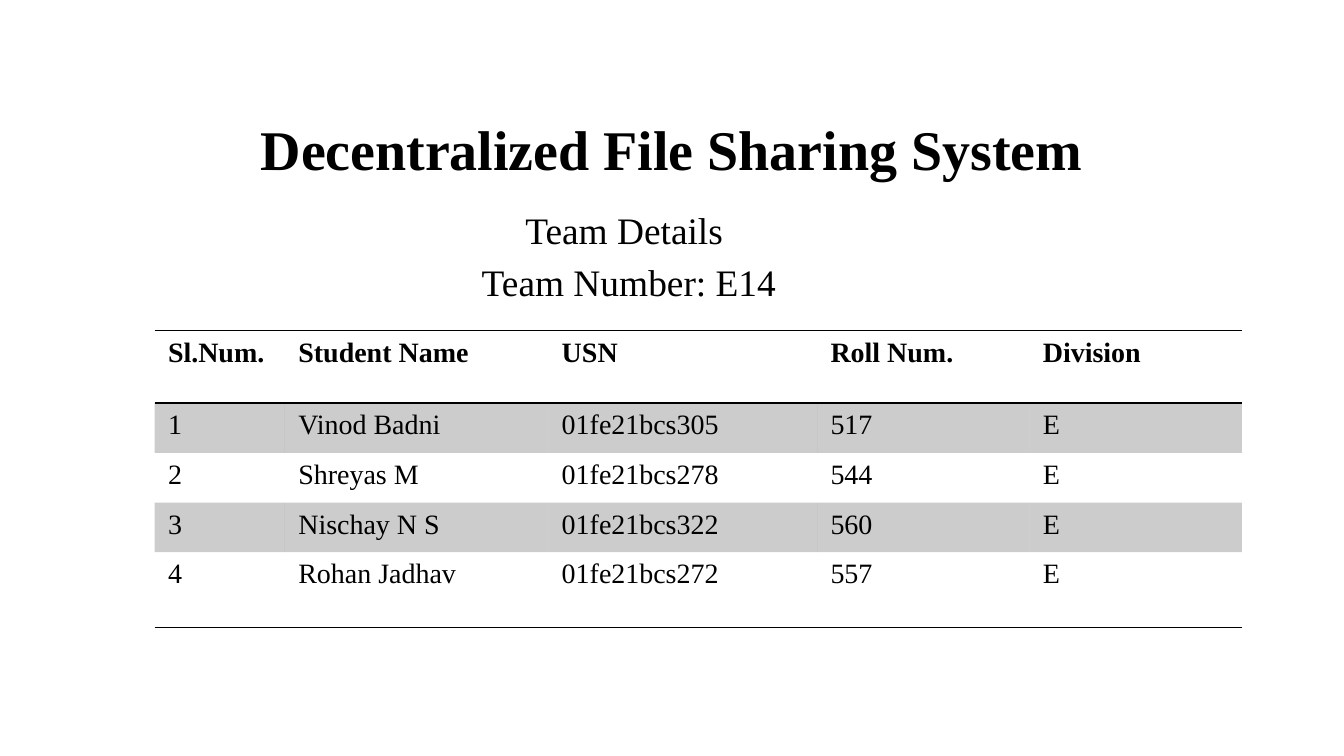
"""Build the team details slide of a file sharing project."""
import pptx
import pptx.dml.color
import pptx.enum.text
import pptx.oxml
import pptx.oxml.ns
import pptx.util
from pptx.util import Inches

BLACK = "000000"
CENTER = pptx.enum.text.PP_ALIGN.CENTER
LEFT = pptx.enum.text.PP_ALIGN.LEFT


def color(value):
    return pptx.dml.color.RGBColor.from_string(value)


def write(para, text, size=15, bold=False, align=LEFT, before=0):
    para.alignment = align
    para.space_before = pptx.util.Pt(before)
    span = para.add_run()
    span.text = text
    span.font.name = "Times New Roman"
    span.font.size = pptx.util.Pt(size)
    span.font.bold = bold
    span.font.color.rgb = color(BLACK)


deck = pptx.Presentation()
deck.slide_width = Inches(10)
deck.slide_height = deck.slide_width * 9 // 16
slide = deck.slides.add_slide(deck.slide_layouts[5])

title = slide.shapes.title
title.left, title.top = Inches(0.75), Inches(0.48)
title.width, title.height = Inches(8.5), Inches(1.25)
title.text_frame.vertical_anchor = pptx.enum.text.MSO_ANCHOR.MIDDLE
write(title.text_frame.paragraphs[0], "Decentralized File Sharing System",
      size=30, bold=True, align=CENTER)

subtitle = slide.shapes.add_textbox(Inches(1.18), Inches(1.49), Inches(7), Inches(1.44))
subtitle.text_frame.word_wrap = True
write(subtitle.text_frame.paragraphs[0], "Team Details ", size=20, align=CENTER, before=4)
write(subtitle.text_frame.add_paragraph(), "Team Number: E14", size=20, align=CENTER, before=4)

rows = [
    ("Sl.Num.", "Student Name", "USN", "Roll Num.", "Division"),
    ("1", "Vinod Badni", "01fe21bcs305", "517", "E"),
    ("2", "Shreyas M", "01fe21bcs278", "544", "E"),
    ("3", "Nischay N S", "01fe21bcs322", "560", "E"),
    ("4", "Rohan Jadhav", "01fe21bcs272", "557", "E"),
]
column_widths = [0.97, 1.96, 2, 1.58, 1.58]
row_heights = [0.54, 0.37, 0.37, 0.37, 0.56]
borders = {0: ["lnB", "lnT"], len(rows) - 1: ["lnB"]}

frame = slide.shapes.add_table(len(rows), len(column_widths),
                               Inches(1.15), Inches(2.46), Inches(8.09), Inches(2.21))
table = frame.table
table.horz_banding = False
style = table._tbl.tblPr.find(pptx.oxml.ns.qn("a:tableStyleId"))
style.text = "{2D5ABB26-0587-4C30-8999-92F81FD0307C}"
for column, width in zip(table.columns, column_widths):
    column.width = Inches(width)

for row_index, values in enumerate(rows):
    table.rows[row_index].height = Inches(row_heights[row_index])
    for column_index, value in enumerate(values):
        cell = table.cell(row_index, column_index)
        write(cell.text_frame.paragraphs[0], value, bold=row_index == 0)
        properties = cell._tc.get_or_add_tcPr()
        if row_index % 2:
            cell.fill.solid()
            cell.fill.fore_color.rgb = color(BLACK)
            shade = properties.find(".//" + pptx.oxml.ns.qn("a:srgbClr"))
            shade.append(pptx.oxml.parse_xml(
                f'<a:alpha {pptx.oxml.ns.nsdecls("a")} val="20000"/>'))
        else:
            cell.fill.background()
        for side in borders.get(row_index, []):
            properties.insert(0, pptx.oxml.parse_xml(
                f'<a:{side} {pptx.oxml.ns.nsdecls("a")} w="12700"><a:solidFill>'
                f'<a:srgbClr val="{BLACK}"/></a:solidFill></a:{side}>'))

deck.save("out.pptx")
